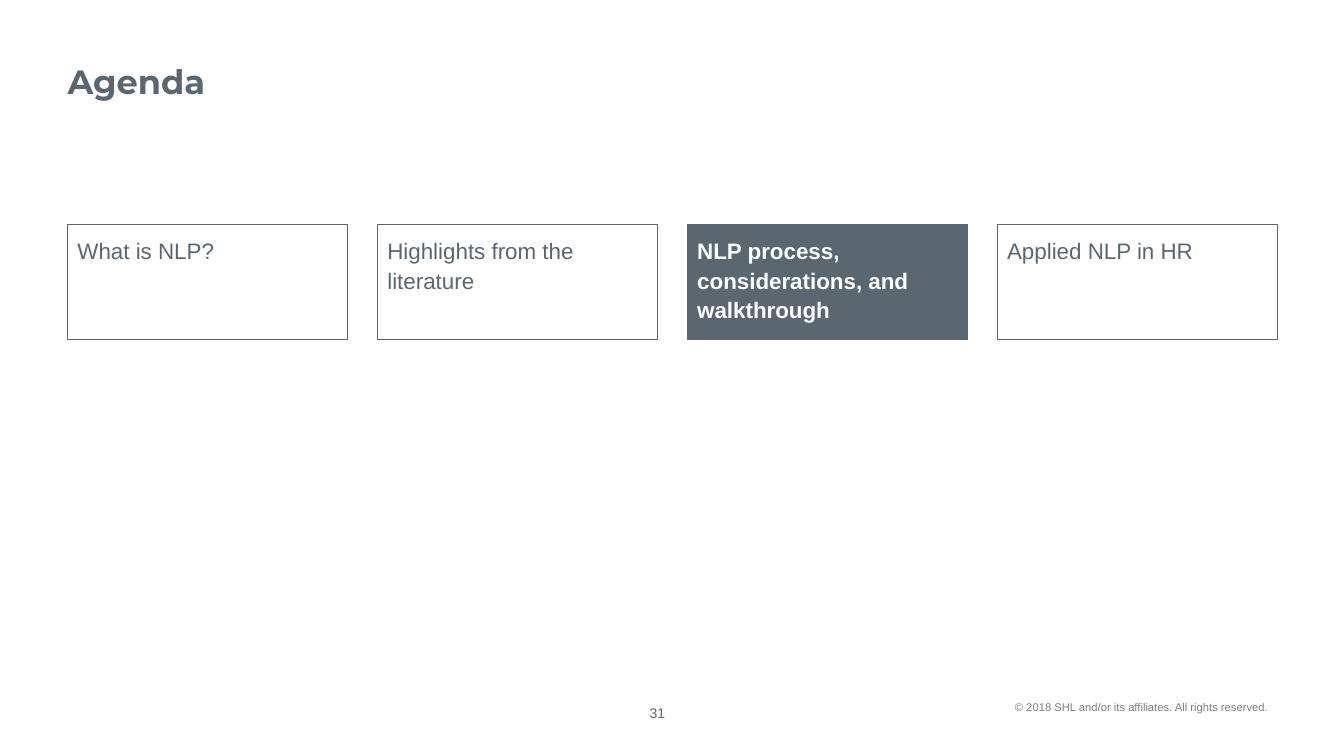
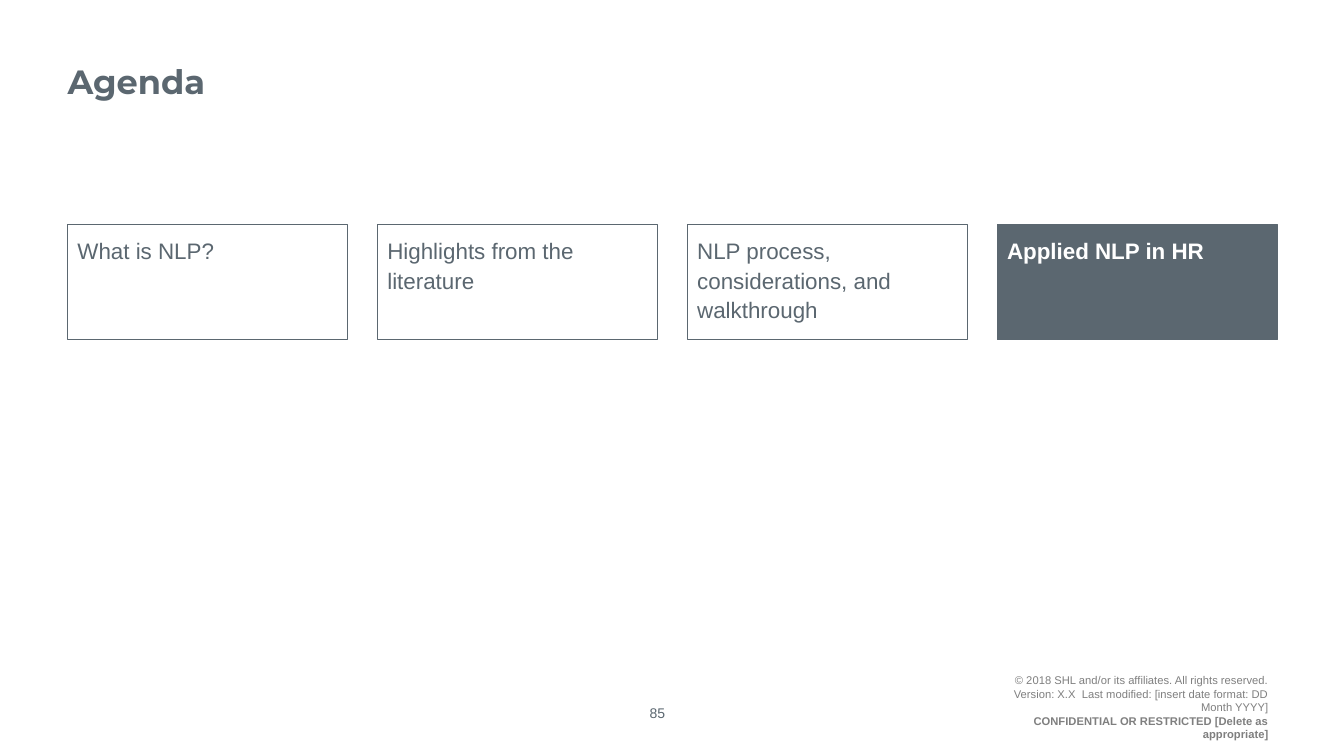
from pptx import Presentation
from pptx.dml.color import RGBColor
from pptx.enum.shapes import MSO_SHAPE
from pptx.enum.text import MSO_ANCHOR, MSO_AUTO_SIZE, PP_ALIGN
from pptx.util import Inches, Pt

SLATE = RGBColor(0x5B, 0x67, 0x70)
WHITE = RGBColor(0xFF, 0xFF, 0xFF)
GREY = RGBColor(0x7F, 0x7F, 0x7F)
HEAD_FONT, BODY_FONT = "Montserrat", "Arial"

LEFT, CONTENT_W = 0.67, 12
CARD_W, CARD_H, CARD_TOP = 2.78, 1.14, 2.23

TOPICS = [
    "What is NLP?",
    "Highlights from the literature",
    "NLP process, considerations, and walkthrough",
    "Applied NLP in HR",
]
COPYRIGHT = "© 2018 SHL and/or its affiliates. All rights reserved."
VERSION = "Version: X.X  Last modified: [insert date format: DD Month YYYY]"
CONFIDENTIAL = "CONFIDENTIAL OR RESTRICTED [Delete as appropriate]"


def set_frame(tf, margins, anchor=MSO_ANCHOR.TOP):
    """Set wrapping, anchor and the left, top, right and bottom margins."""
    tf.word_wrap = True
    tf.auto_size = MSO_AUTO_SIZE.NONE
    tf.vertical_anchor = anchor
    tf.margin_left, tf.margin_top, tf.margin_right, tf.margin_bottom = map(Inches, margins)


def add_run(p, text, size, color=SLATE, bold=False, font=BODY_FONT):
    r = p.add_run()
    r.text = text
    r.font.name = font
    r.font.size = Pt(size)
    r.font.bold = bold
    r.font.color.rgb = color


def add_title(s, text):
    title = s.shapes.title
    title.left, title.top = Inches(LEFT), Inches(0.4)
    title.width, title.height = Inches(CONTENT_W), Inches(0.65)
    tf = title.text_frame
    set_frame(tf, (0, 0.05, 0.1, 0.05), MSO_ANCHOR.BOTTOM)
    p = tf.paragraphs[0]
    p.alignment = PP_ALIGN.LEFT
    add_run(p, text, 24, bold=True, font=HEAD_FONT)


def add_card(s, left, text, active):
    card = s.shapes.add_shape(MSO_SHAPE.RECTANGLE, Inches(left), Inches(CARD_TOP),
                              Inches(CARD_W), Inches(CARD_H))
    card.shadow.inherit = False
    card.fill.solid()
    card.fill.fore_color.rgb = SLATE if active else WHITE
    card.line.color.rgb = SLATE
    card.line.width = Pt(0.75)
    set_frame(card.text_frame, (0.1, 0.1, 0.1, 0.1))
    p = card.text_frame.paragraphs[0]
    p.alignment = PP_ALIGN.LEFT
    p.line_spacing = 1.1
    add_run(p, text, 16, WHITE if active else SLATE, active)


def add_page_number(s, number):
    box = s.shapes.add_textbox(Inches(6.26), Inches(7.03), Inches(0.52), Inches(0.15))
    set_frame(box.text_frame, (0, 0, 0, 0))
    p = box.text_frame.paragraphs[0]
    p.alignment = PP_ALIGN.CENTER
    p.line_spacing = Pt(9)
    add_run(p, str(number), 10)


def add_footer(s, lines):
    """Add right-aligned small print from (text, bold) pairs."""
    box = s.shapes.add_textbox(Inches(10.01), Inches(6.77), Inches(2.67), Inches(0.49))
    tf = box.text_frame
    set_frame(tf, (0, 0.05, 0.1, 0.05), MSO_ANCHOR.MIDDLE)
    for i, (text, bold) in enumerate(lines):
        p = tf.add_paragraph() if i else tf.paragraphs[0]
        p.alignment = PP_ALIGN.RIGHT
        p.line_spacing = Pt(9.6)
        add_run(p, text, 8, GREY, bold)


def add_agenda(prs, active_topic, number, footer):
    s = prs.slides.add_slide(prs.slide_layouts.get_by_name("Title Only"))
    add_title(s, "Agenda")
    pitch = (CONTENT_W - CARD_W) / (len(TOPICS) - 1)
    for i, topic in enumerate(TOPICS):
        add_card(s, LEFT + i * pitch, topic, i == active_topic)
    add_page_number(s, number)
    add_footer(s, footer)


def main():
    prs = Presentation()
    prs.slide_width, prs.slide_height = Inches(13.33), Inches(7.5)
    copyright_line = (COPYRIGHT, False)
    add_agenda(prs, 2, 31, [copyright_line])
    add_agenda(prs, 3, 85, [copyright_line, (VERSION, False), (CONFIDENTIAL, True)])
    prs.save("out.pptx")


if __name__ == "__main__":
    main()
